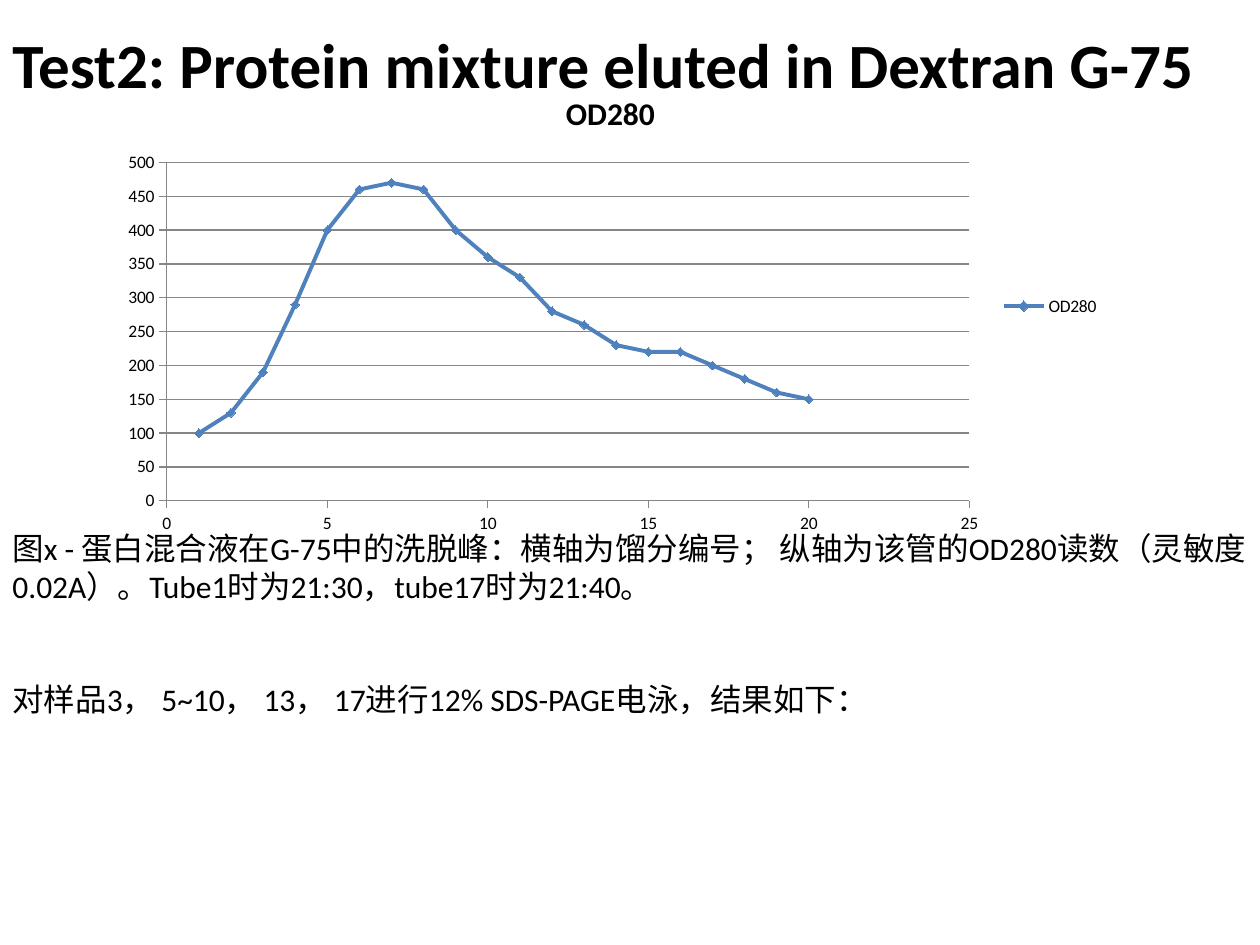
from pptx import Presentation
from pptx import util as u
from pptx.chart.data import XyChartData
from pptx.dml.color import RGBColor
from pptx.enum import chart as c
from pptx.enum import text as t

WIDTH, HEIGHT = u.Inches(10), u.Inches(7.5)
FONT = "Calibri"
COLORS = {"text": "000000", "series": "4F81BD", "axis": "868686"}
READINGS = [100, 130, 190, 290, 400, 460, 470, 460, 400, 360,
            330, 280, 260, 230, 220, 220, 200, 180, 160, 150]


def color(name):
    return RGBColor.from_string(COLORS[name])


def percent(left, top, width, height):
    """Turn percentages of the slide's size into a position and a size."""
    return (int(WIDTH * left / 100), int(HEIGHT * top / 100),
            int(WIDTH * width / 100), int(HEIGHT * height / 100))


def set_font(font, size, bold=False):
    font.name = FONT
    font.size = u.Pt(size)
    font.bold = bold
    font.color.rgb = color("text")


def add_text(slide, box, lines, size, bold=False, wrap=True, gap=0,
             anchor=t.MSO_ANCHOR.TOP):
    frame = slide.shapes.add_textbox(*box).text_frame
    frame.word_wrap = wrap
    frame.auto_size = t.MSO_AUTO_SIZE.SHAPE_TO_FIT_TEXT
    frame.vertical_anchor = anchor
    for index, line in enumerate(lines):
        paragraph = frame.add_paragraph() if index else frame.paragraphs[0]
        paragraph.text = line
        if index:
            paragraph.space_before = u.Pt(gap)
        set_font(paragraph.font, size, bold)


def style_axis(axis, maximum, step, gridlines):
    axis.minimum_scale, axis.maximum_scale = 0, maximum
    axis.major_unit = step
    axis.major_tick_mark = c.XL_TICK_MARK.OUTSIDE
    axis.minor_tick_mark = c.XL_TICK_MARK.NONE
    axis.has_major_gridlines = gridlines
    axis.format.line.color.rgb = color("axis")
    if gridlines:
        axis.major_gridlines.format.line.color.rgb = color("axis")
        axis.major_gridlines.format.line.width = u.Pt(0.75)


def add_elution_chart(slide, box):
    data = XyChartData()
    readings = data.add_series("OD280")
    for tube, reading in enumerate(READINGS, 1):
        readings.add_data_point(tube, reading)
    chart = slide.shapes.add_chart(
        c.XL_CHART_TYPE.XY_SCATTER_LINES, *box, data).chart
    set_font(chart.font, 10)

    chart.has_title = True
    title = chart.chart_title.text_frame
    title.text = "OD280"
    set_font(title.paragraphs[0].font, 18, bold=True)
    chart.chart_title.include_in_layout = False

    chart.has_legend = True
    chart.legend.position = c.XL_LEGEND_POSITION.RIGHT
    chart.legend.include_in_layout = False

    style_axis(chart.category_axis, 25, 5, gridlines=False)
    style_axis(chart.value_axis, 500, 50, gridlines=True)

    plot = chart.plots[0]
    plot.vary_by_categories = False
    series = plot.series[0]
    series.smooth = False
    series.format.line.color.rgb = color("series")
    series.format.line.width = u.Pt(2.25)
    series.marker.style = c.XL_MARKER_STYLE.DIAMOND
    series.marker.size = 5
    series.marker.format.fill.solid()
    series.marker.format.fill.fore_color.rgb = color("series")
    series.marker.format.line.color.rgb = color("series")


def main():
    presentation = Presentation()
    presentation.slide_width, presentation.slide_height = WIDTH, HEIGHT
    slide = presentation.slides.add_slide(presentation.slide_layouts[6])
    add_text(slide, percent(0, 55.2, 100, 21.6), [
        "图x - 蛋白混合液在G-75中的洗脱峰：横轴为馏分编号； 纵轴为该管的OD280读数"
        "（灵敏度0.02A）。Tube1时为21:30，tube17时为21:40。",
        "对样品3， 5~10， 13， 17进行12% SDS-PAGE电泳，结果如下：",
    ], 18, gap=43, anchor=t.MSO_ANCHOR.MIDDLE)
    add_text(slide, percent(0, 2.1, 100.5, 9.5),
             ["Test2: Protein mixture eluted in Dextran G-75"],
             36, bold=True, wrap=False)
    add_elution_chart(slide, percent(8.6, 7.4, 79.7, 50))
    presentation.save("out.pptx")


if __name__ == "__main__":
    main()
